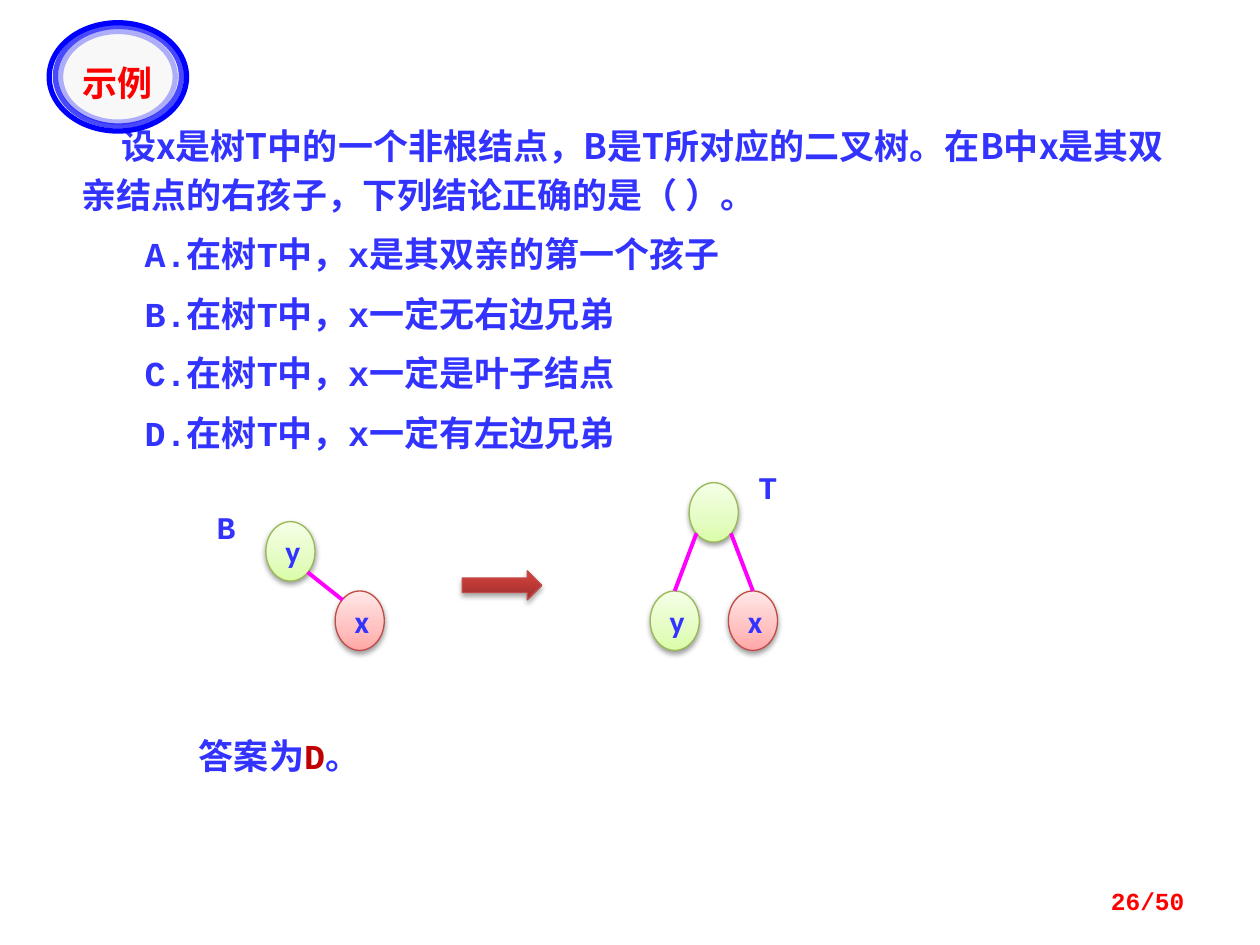
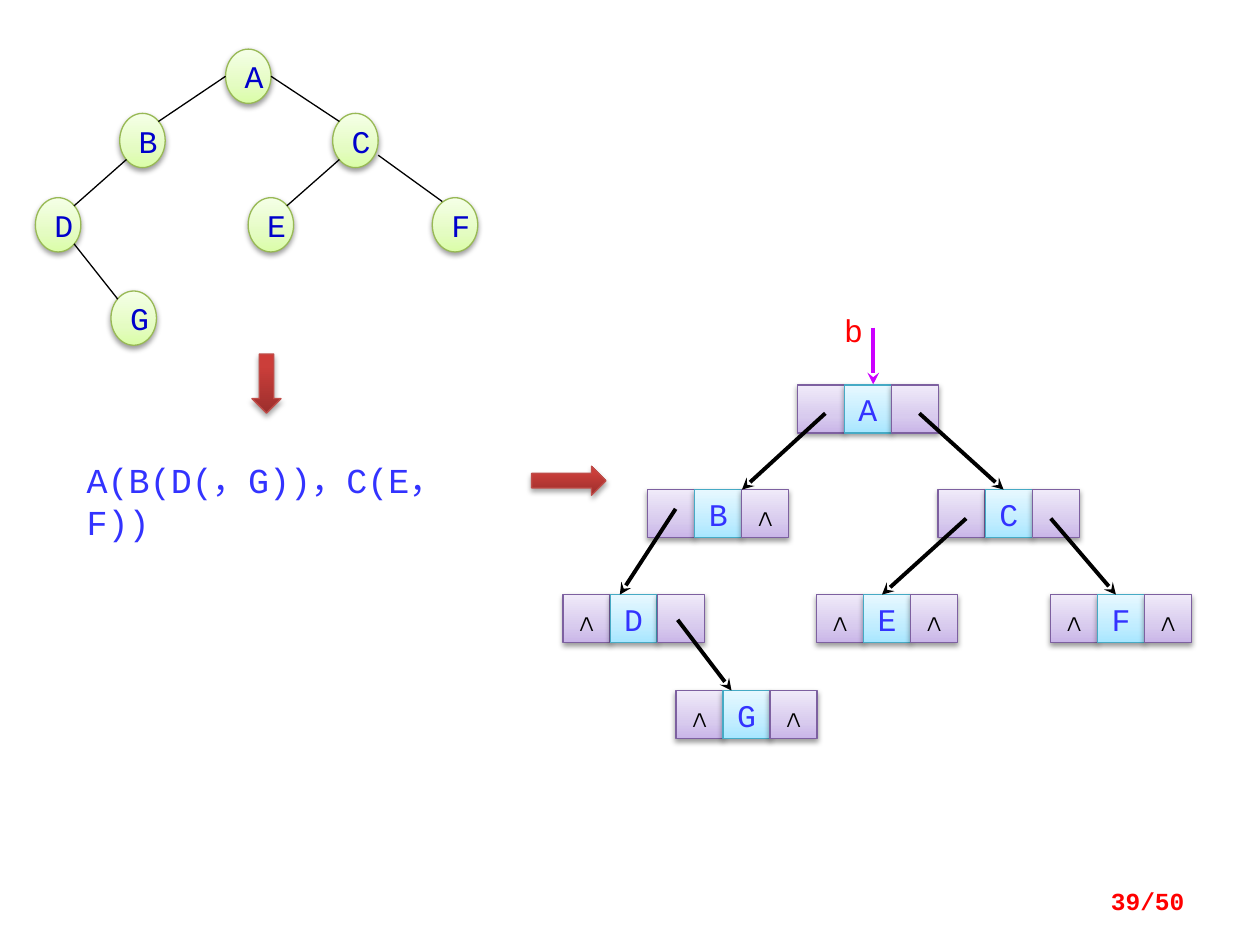
from dataclasses import dataclass, replace

from lxml import etree
from pptx import Presentation
from pptx.dml.color import RGBColor
from pptx.enum.shapes import MSO_CONNECTOR, MSO_SHAPE
from pptx.enum.text import MSO_ANCHOR, PP_ALIGN
from pptx.oxml import parse_xml
from pptx.oxml.ns import nsdecls, qn
from pptx.util import Pt

ELLIPSE, RECT = MSO_SHAPE.OVAL, MSO_SHAPE.RECTANGLE
RIGHT_ARROW, DOWN_ARROW = MSO_SHAPE.RIGHT_ARROW, MSO_SHAPE.DOWN_ARROW
STRAIGHT = MSO_CONNECTOR.STRAIGHT
LEFT, CENTER, RIGHT = PP_ALIGN.LEFT, PP_ALIGN.CENTER, PP_ALIGN.RIGHT
TOP, MIDDLE = MSO_ANCHOR.TOP, MSO_ANCHOR.MIDDLE

COLORS = {
    "text": "3333FF", "node": "0000CC", "alert": "FF0000", "answer": "C00000",
    "black": "000000", "branch": "FF00FF", "pointer": "CC00FF",
    "ring": "0000FF", "badge": "F8F8F8",
}
MONO, SANS = "Courier New", "Calibri"
CJK_SC, CJK_JP = "Noto Sans CJK SC", "Noto Sans CJK JP"


@dataclass(frozen=True)
class Box:
    left: float
    top: float
    width: float
    height: float

    def at(self, site: tuple[float, float]) -> tuple[float, float]:
        """Point at the given fractions of the width and height."""
        return self.left + site[0] * self.width, self.top + site[1] * self.height


@dataclass(frozen=True)
class TextStyle:
    size: float = 20
    color: str = "text"
    bold: bool = False
    latin: str = MONO
    east: str = CJK_SC


@dataclass(frozen=True)
class Look:
    """Gradient stops from bottom to top, outline colour and shadow."""
    stops: dict[int, str]
    outline: str
    shadow_alpha: int = 38
    shadow_distance: float = 1.6


@dataclass(frozen=True)
class Edge:
    parent: str
    child: str
    start: tuple[float, float]
    end: tuple[float, float]


@dataclass(frozen=True)
class Link:
    """Pointer from inside one field of the parent to the child's top edge."""
    parent: str
    field: int
    child: str
    start: tuple[float, float]
    landing: float


GREEN = Look({0: "DAFDA7", 35: "E4FCC2", 100: "F5FFE7"}, "98B955")
PINK = Look({0: "FFA6A5", 35: "FFC0BF", 100: "FFE7E7"}, "BF4C48")
PURPLE = Look({0: "C9B5E8", 35: "D8CBEE", 100: "F0EAF9"}, "7D60A0")
CYAN = Look({0: "A7E6FF", 35: "C1EDFF", 100: "E7F8FF"}, "46AAC5")
DARK_RED = Look({0: "9C2F2D", 80: "CB3E3A", 100: "CE3B37"}, "BF4C48", 35, 1.8)

PLAIN = TextStyle()
BOLD = TextStyle(bold=True)
QUESTION = replace(BOLD, latin=CJK_SC)
LABEL = TextStyle(18, bold=True)
EXAMPLE_NODE = replace(LABEL, latin=SANS)
TREE_NODE = TextStyle(18, "node")
FIELD_DATA = TextStyle(18)
FIELD_NULL = TextStyle(18, "black")
PAGE_NUMBER = TextStyle(14, "alert", True)

TOP_SITE, LEFT_SITE, RIGHT_SITE = (0.5, 0), (0, 0.5), (1, 0.5)
UPPER_LEFT, UPPER_RIGHT = (0.15, 0.15), (0.85, 0.15)
LOWER_LEFT, LOWER_RIGHT = (0.15, 0.85), (0.85, 0.85)

PAGES = 50
QUESTION_TEXT = ("设x是树T中的一个非根结点，B是T所对应的二叉树。"
                 "在B中x是其双亲结点的右孩子，下列结论正确的是（ ）。")
OPTIONS = ["A.在树T中，x是其双亲的第一个孩子", "B.在树T中，x一定无右边兄弟",
           "C.在树T中，x一定是叶子结点", "D.在树T中，x一定有左边兄弟"]

EXAMPLE_SIZE = (28.1, 34)
EXAMPLE_NODES = {
    "B.y": (151.9, 298.1, "y", GREEN), "B.x": (191.5, 337.7, "x", PINK),
    "T.root": (393.8, 275.8, "", GREEN), "T.y": (371.5, 337.7, "y", GREEN),
    "T.x": (416.2, 337.7, "x", PINK),
}
EXAMPLE_EDGES = [
    Edge("B.y", "B.x", LOWER_RIGHT, UPPER_LEFT),
    Edge("T.root", "T.y", LOWER_LEFT, TOP_SITE),
    Edge("T.root", "T.x", LOWER_RIGHT, TOP_SITE),
]

TREE_SIZE = (26, 31)
TREE_NODES = {
    "A": (128.9, 28.1), "B": (68.4, 64.8), "C": (190.1, 64.8), "D": (20.2, 113),
    "E": (141.8, 113), "F": (247, 113), "G": (63.4, 166.3),
}
TREE_EDGES = [
    Edge("A", "B", LEFT_SITE, UPPER_RIGHT), Edge("A", "C", RIGHT_SITE, UPPER_LEFT),
    Edge("B", "D", LOWER_LEFT, UPPER_RIGHT), Edge("D", "G", LOWER_RIGHT, UPPER_LEFT),
    Edge("C", "E", LOWER_LEFT, UPPER_RIGHT), Edge("C", "F", (1, 0.77), (0.22, 0.07)),
]

FIELD_WIDTH, FIELD_HEIGHT = 26.88, 27.5
LEFT_CHILD, DATA, RIGHT_CHILD = range(3)
LINKED_NODES = {
    "B": (370.1, 279.8), "D": (321.8, 339.8), "G": (386.3, 394.6),
    "C": (536.1, 279.8), "E": (466.6, 339.8), "F": (600.3, 339.8),
    "A": (455.6, 220),
}
LINKS = [
    Link("B", LEFT_CHILD, "D", (16, 11), 32.4), Link("D", RIGHT_CHILD, "G", (11.7, 14.4), 31.7),
    Link("C", LEFT_CHILD, "E", (16, 16.5), 37.4), Link("C", RIGHT_CHILD, "F", (10.6, 16.5), 37.4),
    Link("A", LEFT_CHILD, "B", (16, 16.2), 53.9), Link("A", RIGHT_CHILD, "C", (16, 16.2), 37.4),
]


def rgb(name: str) -> RGBColor:
    return RGBColor.from_string(COLORS[name])


def add_run(paragraph, text: str, style: TextStyle) -> None:
    run = paragraph.add_run()
    run.text = text
    font = run.font
    font.size, font.bold, font.name = Pt(style.size), style.bold, style.latin
    font.color.rgb = rgb(style.color)
    etree.SubElement(font._element, qn("a:ea"), typeface=style.east)


def add_text(slide, box: Box, runs: list[tuple[str, TextStyle]],
             align=LEFT, anchor=TOP):
    frame = slide.shapes.add_textbox(
        Pt(box.left), Pt(box.top), Pt(box.width), Pt(box.height)).text_frame
    frame.word_wrap = True
    frame.vertical_anchor = anchor
    frame.paragraphs[0].alignment = align
    for text, style in runs:
        add_run(frame.paragraphs[0], text, style)
    return frame


def add_shape(slide, kind, box: Box):
    return slide.shapes.add_shape(
        kind, Pt(box.left), Pt(box.top), Pt(box.width), Pt(box.height))


def add_glossy(slide, kind, box: Box, look: Look, text: str = "",
               style: TextStyle = PLAIN, wrap: bool = True) -> None:
    """Preset shape with gradient, outline, soft shadow and centred text."""
    shape = add_shape(slide, kind, box)
    stops = "".join(f'<a:gs pos="{pos * 1000}"><a:srgbClr val="{color}"/></a:gs>'
                    for pos, color in look.stops.items())
    properties = shape.element.spPr
    properties.insert(2, parse_xml(
        f'<a:gradFill {nsdecls("a")} rotWithShape="1"><a:gsLst>{stops}</a:gsLst>'
        '<a:lin ang="16200000" scaled="0"/></a:gradFill>'))
    shape.line.color.rgb = RGBColor.from_string(look.outline)
    shape.line.width = Pt(0.75)
    properties.append(parse_xml(
        f'<a:effectLst {nsdecls("a")}><a:outerShdw blurRad="{Pt(3.1)}" '
        f'dist="{Pt(look.shadow_distance)}" dir="5400000" rotWithShape="0">'
        f'<a:srgbClr val="{COLORS["black"]}"><a:alpha val="{look.shadow_alpha * 1000}"/>'
        '</a:srgbClr></a:outerShdw></a:effectLst>'))
    if text:
        frame = shape.text_frame
        frame.word_wrap = wrap
        frame.vertical_anchor = MIDDLE
        frame.paragraphs[0].alignment = CENTER
        add_run(frame.paragraphs[0], text, style)


def add_line(slide, start: tuple[float, float], end: tuple[float, float],
             color: str, width: float, arrow: bool = False) -> None:
    line = slide.shapes.add_connector(STRAIGHT, *(Pt(v) for v in (*start, *end)))
    line.line.color.rgb = rgb(color)
    line.line.width = Pt(width)
    properties = line.element.spPr
    if arrow:
        etree.SubElement(properties.find(qn("a:ln")), qn("a:tailEnd"), type="stealth")
    etree.SubElement(properties, qn("a:effectLst"))


def add_edges(slide, edges: list[Edge], boxes: dict[str, Box],
              color: str, width: float) -> None:
    for edge in edges:
        add_line(slide, boxes[edge.parent].at(edge.start),
                 boxes[edge.child].at(edge.end), color, width)


def add_page_number(slide, page: int) -> None:
    add_text(slide, Box(516.2, 500.4, 167.8, 28.8),
             [(f"{page}/{PAGES}", PAGE_NUMBER)], RIGHT, MIDDLE)


def add_question(slide) -> None:
    frame = add_text(slide, Box(39.6, 63.4, 646.6, 200.9), [(QUESTION_TEXT, QUESTION)])
    first = frame.paragraphs[0]
    first.line_spacing = Pt(28)
    first._p.get_or_add_pPr().set("indent", str(Pt(22.5)))
    for option in OPTIONS:
        paragraph = frame.add_paragraph()
        paragraph.line_spacing, paragraph.space_before = Pt(28), Pt(6)
        properties = paragraph._p.get_or_add_pPr()
        properties.set("marL", str(Pt(36)))
        properties.set("indent", "0")
        add_run(paragraph, option, BOLD)


def add_badge(slide) -> None:
    rings = [(Box(28.1, 13, 78.5, 61.9), 100), (Box(31.7, 15.1, 72, 56.9), 70),
             (Box(34.6, 18, 65.5, 51.8), 30)]
    for box, opacity in rings:
        ring = add_shape(slide, ELLIPSE, box)
        ring.shadow.inherit = False
        ring.line.color.rgb = rgb("ring")
        ring.line.width = Pt(3)
        if opacity == 100:
            ring.fill.solid()
            ring.fill.fore_color.rgb = rgb("badge")
        else:
            ring.fill.background()
            color = ring.element.spPr.find(qn("a:ln")).find(".//" + qn("a:srgbClr"))
            etree.SubElement(color, qn("a:alpha"), val=str(opacity * 1000))
    add_text(slide, Box(32.4, 31.7, 69.1, 28.1),
             [("示例", TextStyle(20, "alert", True, CJK_JP, CJK_JP))], CENTER)


def build_example(slide) -> None:
    add_question(slide)
    add_badge(slide)
    add_text(slide, Box(106.6, 416.2, 129.6, 31.7),
             [("答案为", BOLD), ("D", replace(BOLD, color="answer")), ("。", BOLD)])
    for name, left, top in [("B", 112.3, 286.6), ("T", 421.9, 264.2)]:
        add_text(slide, Box(left, top, 33.8, 28.8), [(name, LABEL)], CENTER)
    boxes = {}
    for key, (left, top, text, look) in EXAMPLE_NODES.items():
        boxes[key] = Box(left, top, *EXAMPLE_SIZE)
        add_glossy(slide, ELLIPSE, boxes[key], look, text, EXAMPLE_NODE)
    add_edges(slide, EXAMPLE_EDGES, boxes, "branch", 2.25)
    add_glossy(slide, RIGHT_ARROW, Box(264.2, 326.2, 45.4, 16.6), DARK_RED)
    add_page_number(slide, 26)


def add_linked_storage(slide) -> None:
    used = {(link.parent, link.field) for link in LINKS}
    for name, (left, top) in LINKED_NODES.items():
        for field in (LEFT_CHILD, DATA, RIGHT_CHILD):
            box = Box(left + field * FIELD_WIDTH, top, FIELD_WIDTH, FIELD_HEIGHT)
            if field == DATA:
                add_glossy(slide, RECT, box, CYAN, name, FIELD_DATA, wrap=False)
            else:
                null = "" if (name, field) in used else "∧"
                add_glossy(slide, RECT, box, PURPLE, null, FIELD_NULL, wrap=False)
    for link in LINKS:
        left, top = LINKED_NODES[link.parent]
        child_left, child_top = LINKED_NODES[link.child]
        start = (left + link.field * FIELD_WIDTH + link.start[0], top + link.start[1])
        add_line(slide, start, (child_left + link.landing, child_top), "black", 2.25, True)
    add_line(slide, (499, 187.2), (499, 219.6), "pointer", 2.25, True)
    add_text(slide, Box(463.7, 174.2, 48.2, 30.2),
             [("b", TextStyle(18, "alert"))], CENTER)


def build_storage(slide) -> None:
    add_text(slide, Box(42.5, 258.5, 249.8, 31.7), [("A(B(D(，G))，C(E，F))", PLAIN)])
    boxes = {name: Box(*place, *TREE_SIZE) for name, place in TREE_NODES.items()}
    for name, box in boxes.items():
        add_glossy(slide, ELLIPSE, box, GREEN, name, TREE_NODE)
    add_edges(slide, TREE_EDGES, boxes, "black", 0.75)
    add_glossy(slide, DOWN_ARROW, Box(144, 202.3, 16.6, 33.8), DARK_RED)
    add_linked_storage(slide)
    add_glossy(slide, RIGHT_ARROW, Box(303.8, 266.4, 42.5, 16.6), DARK_RED)
    add_page_number(slide, 39)


def main() -> None:
    deck = Presentation()
    deck.slide_width, deck.slide_height = Pt(720), Pt(540)
    blank = deck.slide_layouts[6]
    for build in (build_example, build_storage):
        build(deck.slides.add_slide(blank))
    deck.save("out.pptx")


if __name__ == "__main__":
    main()
